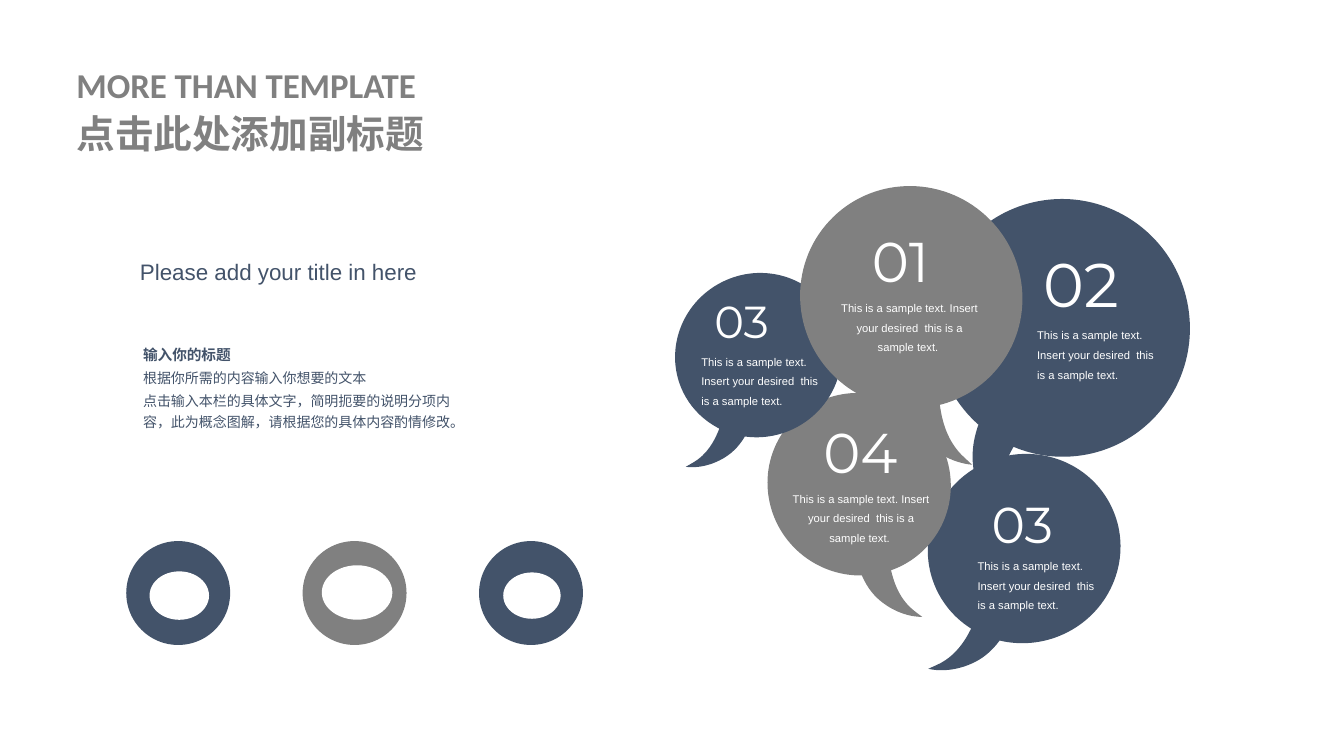
from math import cos, radians, sin, tan

from lxml.etree import SubElement
from pptx import Presentation
from pptx.dml.color import RGBColor
from pptx.enum.shapes import MSO_SHAPE as Preset
from pptx.enum.text import MSO_ANCHOR as Anchor
from pptx.enum.text import MSO_AUTO_SIZE as AutoSize
from pptx.enum.text import PP_ALIGN as Align
from pptx.oxml.ns import qn
from pptx.util import Pt

NAVY = RGBColor(0x43, 0x53, 0x6A)
GREY = RGBColor(0x80, 0x80, 0x80)
WHITE = RGBColor(0xFF, 0xFF, 0xFF)
CHINESE = "Noto Sans CJK SC"
SAMPLE = "This is a sample text. Insert your desired  this is a sample text."

ARC_ANGLES = (51, 90, 180, 270, 360, 391)
TAIL_POINTS = [
    (0.93, 0.77), (0.93, 0.77), (0.93, 0.77),
    (0.99, 0.82), (1.07, 0.87), (1.17, 0.87),
    (1.19, 0.87), (1.21, 0.87), (1.22, 0.87),
    (1.22, 0.87), (1.14, 0.94), (1, 0.94),
    (0.95, 0.94), (0.89, 0.93), (0.82, 0.89),
]
OUTLINE_WIDTH = 1.22

BUBBLES = [
    dict(box=(635, 330.5, 167, 134.6), turn=335.5, mirror=True, color=NAVY,
         number="03", size=36, number_at=(66.3, 18, 63.4, 51.1),
         body_at=(56.2, 61.2, 99.4, 49.7), align=Align.LEFT),
    dict(box=(650.9, 162, 222.5, 182.2), turn=79.9, mirror=False, color=NAVY,
         number="02", size=44, number_at=(87.1, 10.1, 74.2, 60.5),
         body_at=(82.8, 64.8, 99.4, 49.7), align=Align.LEFT),
    dict(box=(545, 289.4, 159.1, 129.6), turn=37.4, mirror=False, color=GREY,
         number="04", size=40, number_at=(36, 5.1, 68.4, 55.4),
         body_at=(13.7, 54, 113, 49.7), align=Align.CENTER),
    dict(box=(458.6, 201.6, 144.7, 116.6), turn=330, mirror=True, color=NAVY,
         number="03", size=32, number_at=(44.7, 5, 57.6, 46),
         body_at=(35.3, 43.9, 99.4, 49.7), align=Align.LEFT),
    dict(box=(566.6, 144.7, 193, 157.7), turn=42.8, mirror=False, color=GREY,
         number="01", size=40, number_at=(49, 13.7, 68.4, 55.4),
         body_at=(26.7, 62.7, 113, 49.7), align=Align.CENTER),
]

BADGES = [
    (NAVY, (16.6, 21.6, 42.5, 34.6)),
    (GREY, (13.7, 17.3, 50.4, 38.9)),
    (NAVY, (17.3, 22.4, 41, 33.1)),
]


def apply_format(target, values):
    """Set every attribute named in values on the target."""
    for name, value in values.items():
        setattr(target, name, value)


def paint(shape, color):
    """Give a shape a flat fill without line or shadow."""
    shape.shadow.inherit = False
    shape.fill.solid()
    shape.fill.fore_color.rgb = color
    shape.line.fill.background()


def add_text(slide, box, lines, color, frame_format=None, para_format=None):
    """Write lines of (text, font format) into a text box."""
    frame = slide.shapes.add_textbox(*map(Pt, box)).text_frame
    apply_format(frame, {"word_wrap": True, "auto_size": AutoSize.SHAPE_TO_FIT_TEXT,
                         **(frame_format or {})})
    for index, (text, font_format) in enumerate(lines):
        para = frame.add_paragraph() if index else frame.paragraphs[0]
        apply_format(para, para_format or {})
        span = para.add_run()
        span.text = text
        span.font.color.rgb = color
        apply_format(span.font, font_format)
        if font_format["name"] == CHINESE:
            east_asian = SubElement(span.font._element, qn("a:ea"))
            east_asian.set("typeface", CHINESE)


def circle_point(angle, pull=0):
    """Return a point on the unit bubble's circle, moved along its tangent."""
    across, down = cos(radians(angle)), sin(radians(angle))
    return 0.505 + 0.505 * (across - pull * down), 0.5 + 0.5 * (down + pull * across)


def bubble_outline():
    """Return the start and curve points of a bubble of height one."""
    points = [circle_point(ARC_ANGLES[0])]
    for start, end in zip(ARC_ANGLES, ARC_ANGLES[1:]):
        pull = 4 / 3 * tan(radians(end - start) / 4)
        points += [circle_point(start, pull), circle_point(end, -pull), circle_point(end)]
    return points + TAIL_POINTS


def bend_lines(shape):
    """Join each three line segments of a freeform into one cubic curve."""
    segments = list(shape._element.iter(qn("a:lnTo")))
    for first in range(0, len(segments) - 2, 3):
        trio = segments[first:first + 3]
        curve = trio[0].getparent().makeelement(qn("a:cubicBezTo"))
        trio[0].addprevious(curve)
        for segment in trio:
            curve.append(segment[0])
            segment.getparent().remove(segment)


def add_bubble(slide, bubble):
    """Draw a turned speech bubble in its box."""
    left, top, width, height = bubble["box"]
    points = []
    for x, y in bubble_outline():
        across = x / OUTLINE_WIDTH
        if bubble["mirror"]:
            across = 1 - across
        points.append((Pt(left + width * across), Pt(top + height * y)))
    builder = slide.shapes.build_freeform(*points[0])
    builder.add_line_segments(points[1:], close=True)
    shape = builder.convert_to_shape()
    bend_lines(shape)
    paint(shape, bubble["color"])
    shape.rotation = bubble["turn"]


def add_bubble_label(slide, bubble):
    """Write the number and sample text of a bubble."""
    left, top = bubble["box"][:2]
    number_box, body_box = [(left + x, top + y, width, height) for x, y, width, height
                            in (bubble["number_at"], bubble["body_at"])]
    text = SAMPLE + " " if bubble["align"] == Align.CENTER else SAMPLE
    add_text(slide, number_box,
             [(bubble["number"], dict(name="Montserrat", size=Pt(bubble["size"])))],
             WHITE, dict(word_wrap=False))
    add_text(slide, body_box, [(text, dict(name="Arial", size=Pt(8)))], WHITE,
             para_format=dict(alignment=bubble["align"], line_spacing=Pt(14)))


def add_badges(slide, box, pitch):
    """Draw a row of discs with a plain oval in each."""
    left, top, size = box
    for index, (color, (x, y, width, height)) in enumerate(BADGES):
        start = left + index * pitch
        disc = (start, top, size, size)
        oval = (start + x, top + y, width, height)
        for part, fill in ((disc, color), (oval, WHITE)):
            paint(slide.shapes.add_shape(Preset.OVAL, *map(Pt, part)), fill)


def add_title(slide, box):
    """Write the two-line slide title."""
    add_text(slide, box, [
        ("MORE THAN TEMPLATE", dict(name="Calibri", size=Pt(24.9), bold=True)),
        ("点击此处添加副标题", dict(name=CHINESE, size=Pt(27.6), bold=True)),
    ], GREY, dict(vertical_anchor=Anchor.MIDDLE), dict(line_spacing=1.1))


def add_description(slide, box):
    """Write the heading and the paragraphs below it."""
    left, top, width, height = box
    add_text(slide, (left + 2.2, top, 214.6, 26.6),
             [("Please add your title in here", dict(name="Arial", size=Pt(16)))],
             NAVY, dict(word_wrap=False))
    plain = dict(name=CHINESE, size=Pt(10), bold=False)
    add_text(slide, (left, top + 58.3, width, height - 58.3), [
        ("输入你的标题", dict(name=CHINESE, size=Pt(10.5), bold=True)),
        ("根据你所需的内容输入你想要的文本", plain),
        ("点击输入本栏的具体文字，简明扼要的说明分项内容，此为概念图解，请根据您的具体内容酌情修改。", plain),
    ], NAVY, dict(margin_left=Pt(11.5), margin_right=Pt(11.5),
                  margin_top=Pt(5.8), margin_bottom=Pt(5.8)),
        dict(line_spacing=1.2, space_before=Pt(2)))


def main():
    """Build and save the deck."""
    deck = Presentation()
    apply_format(deck, dict(slide_width=Pt(960), slide_height=Pt(540)))
    page = deck.slides.add_slide(deck.slide_layouts[6])
    for bubble in BUBBLES:
        add_bubble(page, bubble)
    add_badges(page, (90.2, 386.5, 74.2), 126)
    for bubble in BUBBLES:
        add_bubble_label(page, bubble)
    add_title(page, (47.5, 38.5, 317.5, 77))
    add_description(page, (90.7, 180.7, 244.1, 133.9))
    deck.save("out.pptx")


if __name__ == "__main__":
    main()
